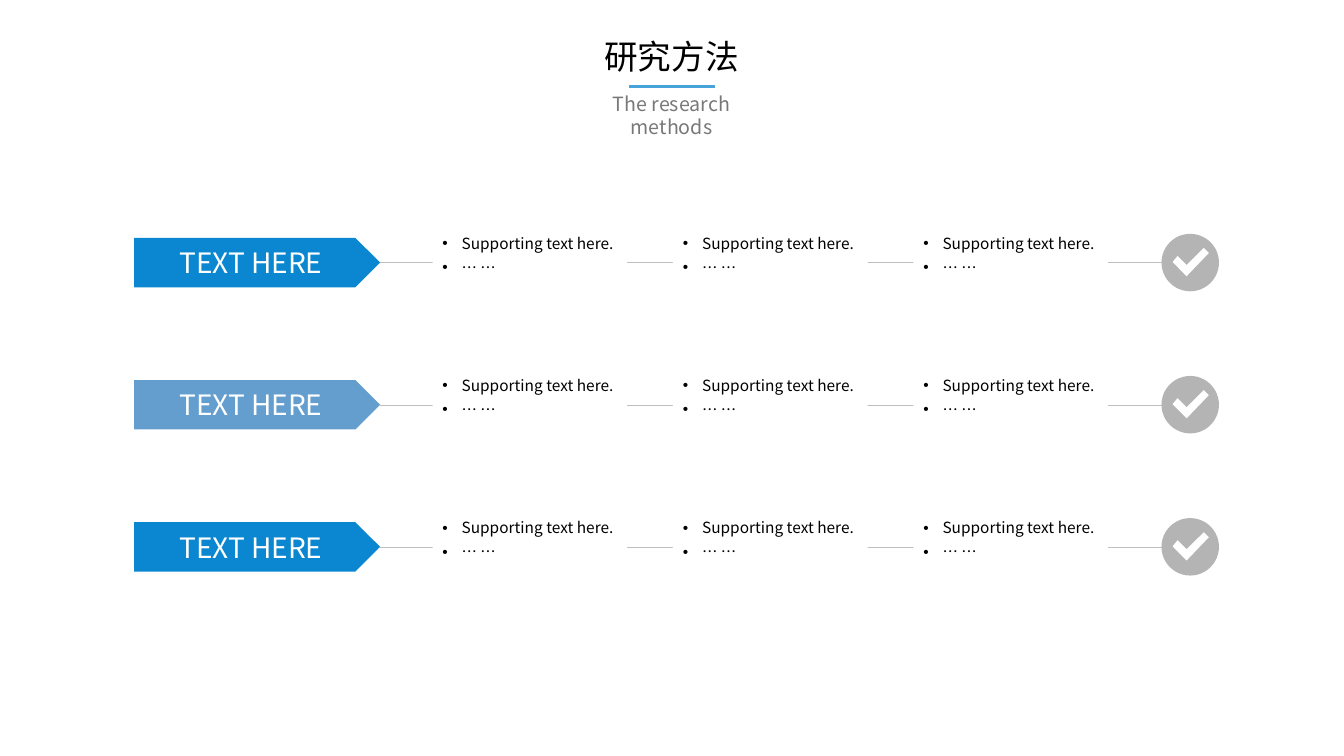
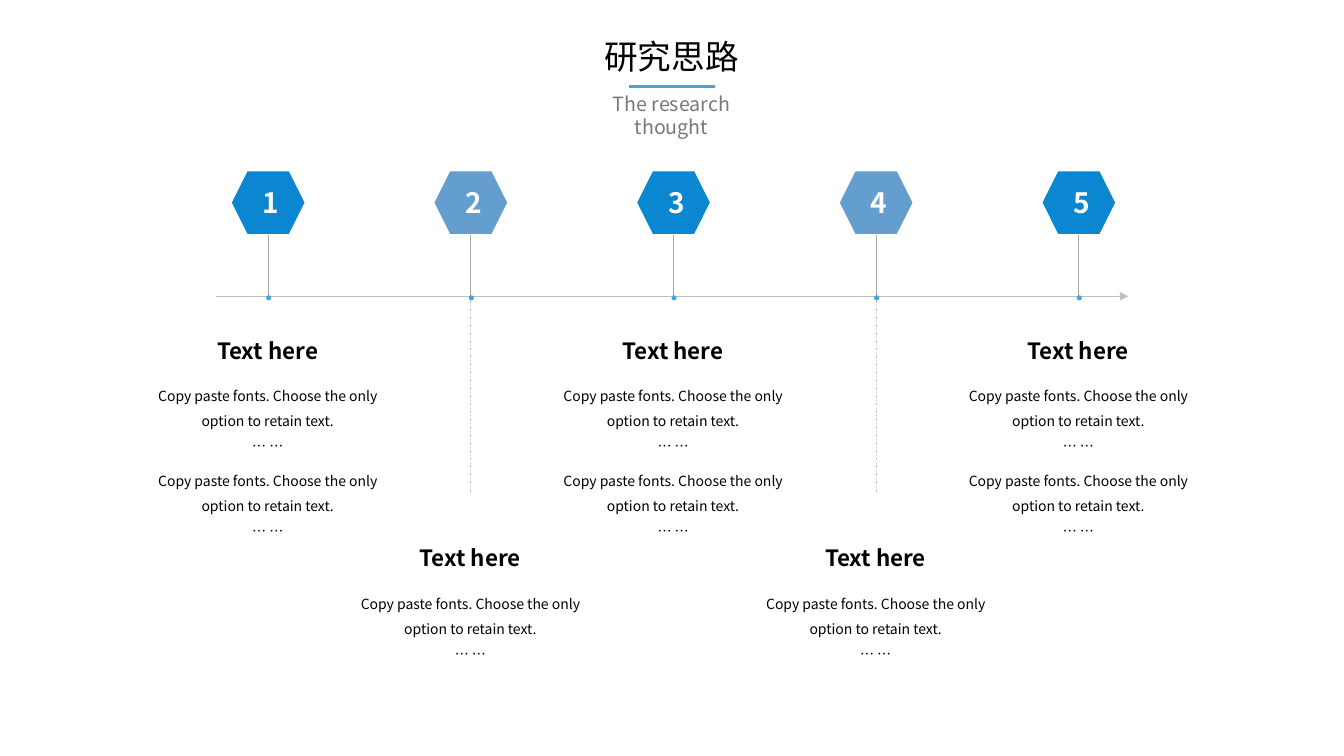
from lxml.etree import SubElement
from pptx import Presentation
from pptx.dml.color import RGBColor
from pptx.enum.dml import MSO_LINE
from pptx.enum.shapes import MSO_CONNECTOR, MSO_SHAPE
from pptx.enum.text import MSO_ANCHOR, MSO_AUTO_SIZE, PP_ALIGN
from pptx.oxml.ns import qn
from pptx.util import Inches, Pt

FONT = "Noto Sans CJK SC"
BLACK, WHITE, GREY = "000000", "FFFFFF", "787878"
BLUE, SOFT_BLUE, ACCENT = "0A87D0", "639ECE", "46A4DB"
PALE_LINE, STEM_LINE, BADGE = "BFBFBF", "A6A6A6", "B4B4B4"
STRAIGHT = MSO_CONNECTOR.STRAIGHT
rgb = RGBColor.from_string


def paint(item, color, width=None):
    """Fill a shape without outline or, given a width, style a connector."""
    if width:
        item.line.color.rgb = rgb(color)
        item.line.width = Pt(width)
        SubElement(item.element.spPr, qn("a:effectLst"))
    else:
        item.fill.solid()
        item.fill.fore_color.rgb = rgb(color)
        item.line.fill.background()
        item.shadow.inherit = False


def write(para, text, size, color=BLACK, bold=False, align=PP_ALIGN.CENTER):
    para.alignment = align
    span = para.add_run()
    span.text = text
    span.font.size = Pt(size)
    span.font.bold = bold
    span.font.color.rgb = rgb(color)
    span.font.name = FONT
    SubElement(span.font._element, qn("a:ea"), typeface=FONT)


deck = Presentation()
deck.slide_width, deck.slide_height = Inches(13.33), Inches(7.5)

# Shared heading: title, accent rule, subtitle
pages = []
for heading, subtitle in (("研究方法", "The research methods"),
                          ("研究思路", "The research thought")):
    page = deck.slides.add_slide(deck.slide_layouts[5])
    title = page.shapes.title
    title.left, title.top = Inches(5.61), Inches(0.31)
    title.width, title.height = Inches(2.1), Inches(0.5)
    title.text_frame.vertical_anchor = MSO_ANCHOR.TOP
    title.text_frame.auto_size = MSO_AUTO_SIZE.NONE
    write(title.text_frame.paragraphs[0], heading, 24)

    rule = page.shapes.add_connector(
        STRAIGHT, Inches(6.24), Inches(0.86), Inches(7.09), Inches(0.86))
    paint(rule, ACCENT, 2.25)

    box = page.shapes.add_textbox(Inches(5.67), Inches(0.86), Inches(1.98), Inches(0.34))
    box.text_frame.word_wrap = True
    write(box.text_frame.paragraphs[0], subtitle, 14, GREY)
    pages.append(page)

methods, thought = pages

# Research methods: three rows of label, notes and check mark
CHECK = [(11.77, 0.14), (11.63, 0), (11.68, -0.06), (11.77, 0.03), (11.94, -0.14), (11.99, -0.09)]
for row, color in enumerate((BLUE, SOFT_BLUE, BLUE)):
    middle = 2.6 + 1.41 * row
    label = methods.shapes.add_shape(
        MSO_SHAPE.PENTAGON, Inches(1.33), Inches(middle - 0.24), Inches(2.44), Inches(0.49))
    paint(label, color)
    label.text_frame.vertical_anchor = MSO_ANCHOR.MIDDLE
    write(label.text_frame.paragraphs[0], "TEXT HERE", 20, WHITE)

    thread = methods.shapes.add_connector(
        STRAIGHT, Inches(3.77), Inches(middle), Inches(11.56), Inches(middle))
    thread.begin_connect(label, 3)
    thread.end_y = thread.begin_y
    paint(thread, PALE_LINE, 0.25)

    for column in range(3):
        note = methods.shapes.add_shape(
            MSO_SHAPE.RECTANGLE, Inches(4.29 + 2.385 * column), Inches(middle - 0.38),
            Inches(1.93), Inches(0.72))
        paint(note, WHITE)
        frame = note.text_frame
        frame.vertical_anchor = MSO_ANCHOR.TOP
        for para, text in ((frame.paragraphs[0], "Supporting text here."),
                           (frame.add_paragraph(), "… …")):
            write(para, text, 11, align=PP_ALIGN.LEFT)
            para.line_spacing = 1.3
            properties = para._p.get_or_add_pPr()
            properties.set("marL", str(Inches(0.19)))
            properties.set("indent", str(Inches(-0.19)))
            SubElement(properties, qn("a:buFont"), typeface="Arial")
            SubElement(properties, qn("a:buChar"), char="•")

    badge = methods.shapes.add_shape(
        MSO_SHAPE.OVAL, Inches(11.52), Inches(middle - 0.28), Inches(0.57), Inches(0.57))
    paint(badge, BADGE)
    points = [(Inches(x), Inches(middle + y)) for x, y in CHECK]
    outline = methods.shapes.build_freeform(*points[0])
    outline.add_line_segments(points[1:], close=True)
    paint(outline.convert_to_shape(), WHITE)

# Research thought: timeline with five numbered steps
axis = thought.shapes.add_connector(
    STRAIGHT, Inches(2.14), Inches(2.94), Inches(11.19), Inches(2.94))
paint(axis, PALE_LINE, 0.5)
SubElement(axis.line._get_or_add_ln(), qn("a:tailEnd"), type="triangle")

for step in range(5):
    center = 2.66 + 2.01 * step
    lower = step % 2 == 1

    stem = thought.shapes.add_connector(
        STRAIGHT, Inches(center), Inches(2.33), Inches(center), Inches(2.95))
    paint(stem, STEM_LINE, 0.5)
    if lower:
        drop = thought.shapes.add_connector(
            STRAIGHT, Inches(center), Inches(2.98), Inches(center), Inches(4.9))
        paint(drop, PALE_LINE, 0.5)
        drop.line.dash_style = MSO_LINE.DASH_DOT

    hexagon = thought.shapes.add_shape(
        MSO_SHAPE.HEXAGON, Inches(center - 0.36), Inches(1.7), Inches(0.72), Inches(0.62))
    paint(hexagon, SOFT_BLUE if lower else BLUE)
    frame = hexagon.text_frame
    frame.margin_left = Inches(0.06)
    frame.margin_right = frame.margin_top = frame.margin_bottom = 0
    frame.vertical_anchor = MSO_ANCHOR.MIDDLE
    write(frame.paragraphs[0], str(step + 1), 20, WHITE, bold=True)

    dot = thought.shapes.add_shape(
        MSO_SHAPE.OVAL, Inches(center - 0.02), Inches(2.93), Inches(0.05), Inches(0.05))
    paint(dot, ACCENT)

    left, top = Inches(center - 1.19), 5.32 if lower else 3.26
    box = thought.shapes.add_textbox(left, Inches(top), Inches(2.37), Inches(0.43))
    box.text_frame.word_wrap = True
    box.text_frame.vertical_anchor = MSO_ANCHOR.MIDDLE
    write(box.text_frame.paragraphs[0], "Text here", 16, bold=True)

    for block in range(1 if lower else 2):
        body = thought.shapes.add_textbox(
            left, Inches(top + 0.45 + 0.84 * block), Inches(2.37), Inches(0.82))
        frame = body.text_frame
        frame.word_wrap = True
        for para, text in (
                (frame.paragraphs[0], "Copy paste fonts. Choose the only option to retain text."),
                (frame.add_paragraph(), "… …")):
            write(para, text, 10)
            para.line_spacing = 1.5

deck.save("out.pptx")
